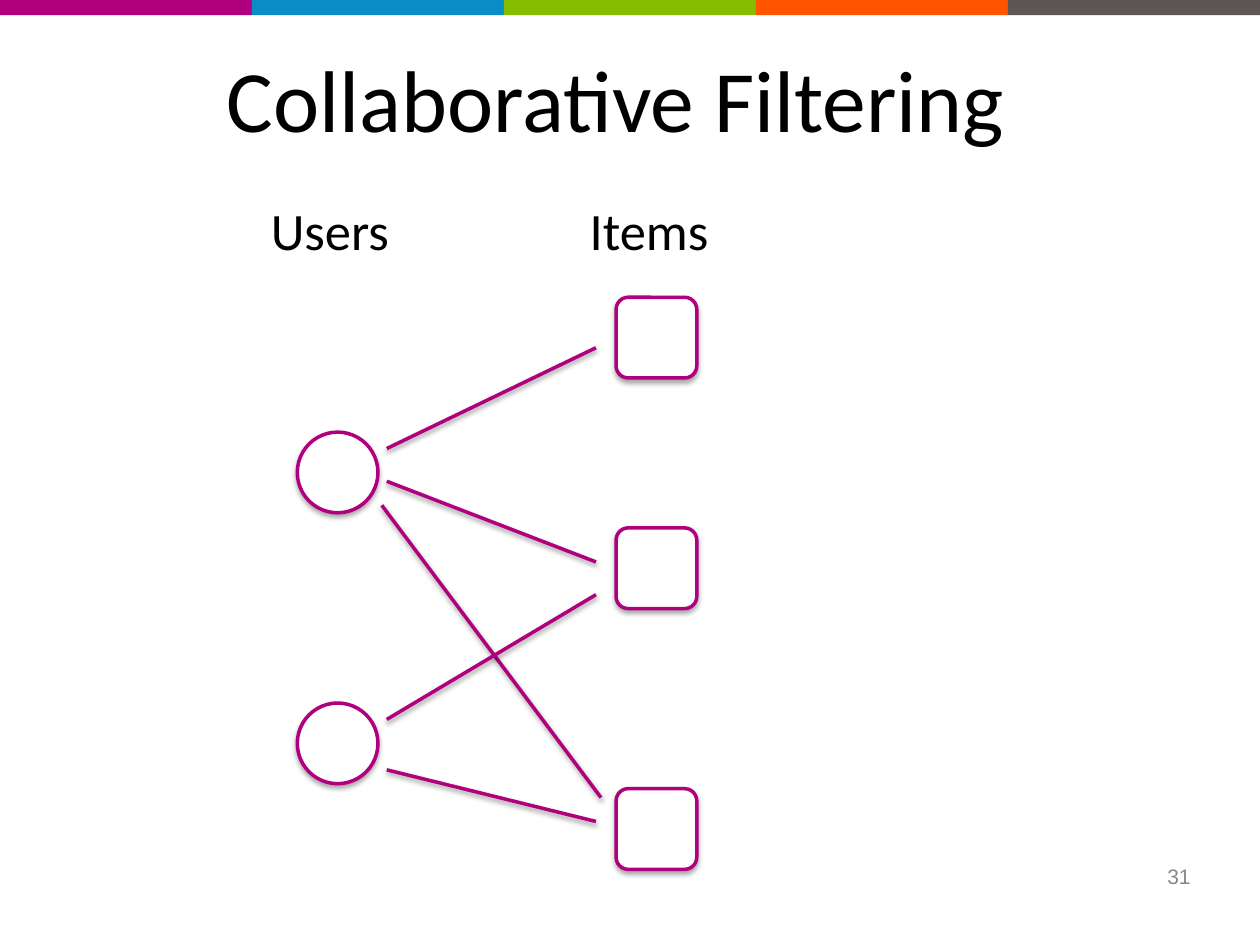
import dataclasses

import lxml.etree
import pptx
import pptx.dml.color
import pptx.enum.shapes
import pptx.enum.text
import pptx.oxml.ns
import pptx.util

Inches = pptx.util.Inches
Pt = pptx.util.Pt
RGB = pptx.dml.color.RGBColor.from_string
SHAPE = pptx.enum.shapes.MSO_SHAPE
ALIGN = pptx.enum.text.PP_ALIGN
ANCHOR = pptx.enum.text.MSO_ANCHOR
qn = pptx.oxml.ns.qn


@dataclasses.dataclass(frozen=True)
class Theme:
    ribbon: tuple = ("B0007F", "0A8CC4", "85BD00", "FF5500", "5E5555")
    accent: str = "B0007E"
    paper: str = "FFFFFF"
    ink: str = "000000"
    muted: str = "888888"
    font: str = "Calibri"
    number_font: str = "Arial"
    title_size: int = 50
    label_size: int = 30
    number_size: int = 12
    stroke: int = 2


THEME = Theme()


def set_all(obj, values):
    for name, value in values.items():
        setattr(obj, name, value)


def place(sp, left, top, width, height):
    set_all(sp, {"left": Inches(left), "top": Inches(top),
                 "width": Inches(width), "height": Inches(height)})


def write(sp, text, size, font=THEME.font, color=THEME.ink, align=ALIGN.LEFT,
          anchor=ANCHOR.TOP, inset=0, wrap=False):
    tf = sp.text_frame
    margins = dict.fromkeys(
        ("margin_left", "margin_top", "margin_right", "margin_bottom"), Inches(inset))
    set_all(tf, {"word_wrap": wrap, "vertical_anchor": anchor, **margins})
    p = tf.paragraphs[0]
    p.alignment = align
    r = p.add_run()
    r.text = text
    set_all(r.font, {"name": font, "size": Pt(size)})
    r.font.color.rgb = RGB(color)


def add_text(s, box, text, size, **style):
    sp = s.shapes.add_textbox(*map(Inches, box))
    write(sp, text, size, **style)


def outline(sp, opacity, distance):
    sp.line.color.rgb = RGB(THEME.accent)
    sp.line.width = Pt(THEME.stroke)
    effects = lxml.etree.SubElement(sp._element.spPr, qn("a:effectLst"))
    shadow = lxml.etree.SubElement(
        effects, qn("a:outerShdw"), blurRad=str(Pt(3)), dist=str(Pt(distance)),
        dir="5400000", rotWithShape="0")
    color = lxml.etree.SubElement(shadow, qn("a:srgbClr"), val=THEME.ink)
    lxml.etree.SubElement(color, qn("a:alpha"), val=str(opacity * 1000))


def add_ribbon(s, box):
    left, top, width, height = box
    step = width / len(THEME.ribbon)
    for i, color in enumerate(THEME.ribbon):
        sp = s.shapes.add_shape(SHAPE.RECTANGLE, *map(
            Inches, (left + i * step, top, step, height)))
        sp.shadow.inherit = False
        sp.fill.solid()
        sp.fill.fore_color.rgb = RGB(color)
        sp.line.fill.background()


def add_title(s, box, text):
    sp = s.shapes.title
    place(sp, *box)
    write(sp, text, THEME.title_size)


def add_node(s, kind, left, top, size):
    sp = s.shapes.add_shape(kind, *map(Inches, (left, top, size, size)))
    if kind == SHAPE.ROUNDED_RECTANGLE:
        sp.adjustments[0] = 0.15
    sp.fill.solid()
    sp.fill.fore_color.rgb = RGB(THEME.paper)
    outline(sp, 35, 1.8)


def add_link(s, start, end):
    sp = s.shapes.add_connector(
        pptx.enum.shapes.MSO_CONNECTOR.STRAIGHT, *map(Inches, start + end))
    outline(sp, 38, 1.6)


def add_graph(s, box):
    left, top, width, height = box
    node = 0.64
    label_height = 0.61
    columns = (
        ("Users", SHAPE.OVAL, 0.21, 0, (1.86, 4.01)),
        ("Items", SHAPE.ROUNDED_RECTANGLE, 2.74, 2.53, (0.79, 2.62, height - node)),
    )
    for label, kind, node_x, label_x, tops in columns:
        for node_y in tops:
            add_node(s, kind, left + node_x, top + node_y, node)
        add_text(s, (left + label_x, top, width - 2.53, label_height),
                 label, THEME.label_size)

    links = (
        (0.92, 1.99, 2.58, 1.19),
        (0.92, 2.25, 2.58, 2.89),
        (0.88, 2.44, 2.62, 4.76),
        (0.92, 4.14, 2.58, 3.15),
        (0.92, 4.54, 2.58, 4.95),
    )
    for x1, y1, x2, y2 in links:
        add_link(s, (left + x1, top + y1), (left + x2, top + y2))


def add_number(s, box, text):
    add_text(s, box, text, THEME.number_size, font=THEME.number_font,
             color=THEME.muted, align=ALIGN.RIGHT, anchor=ANCHOR.MIDDLE,
             inset=0.05, wrap=True)


def main():
    prs = pptx.Presentation()
    set_all(prs, {"slide_width": Inches(10), "slide_height": Inches(7.5)})
    s = prs.slides.add_slide(prs.slide_layouts.get_by_name("Title Only"))
    s.background.fill.solid()
    s.background.fill.fore_color.rgb = RGB(THEME.paper)
    add_ribbon(s, (0, 0, 10, 0.12))
    add_graph(s, (2.15, 1.57, 3.59, 5.33))
    add_title(s, (1.8, 0.36, 6.83, 0.98), "Collaborative Filtering")
    add_number(s, (7.17, 6.75, 2.33, 0.4), "31")
    prs.save("out.pptx")


if __name__ == "__main__":
    main()
